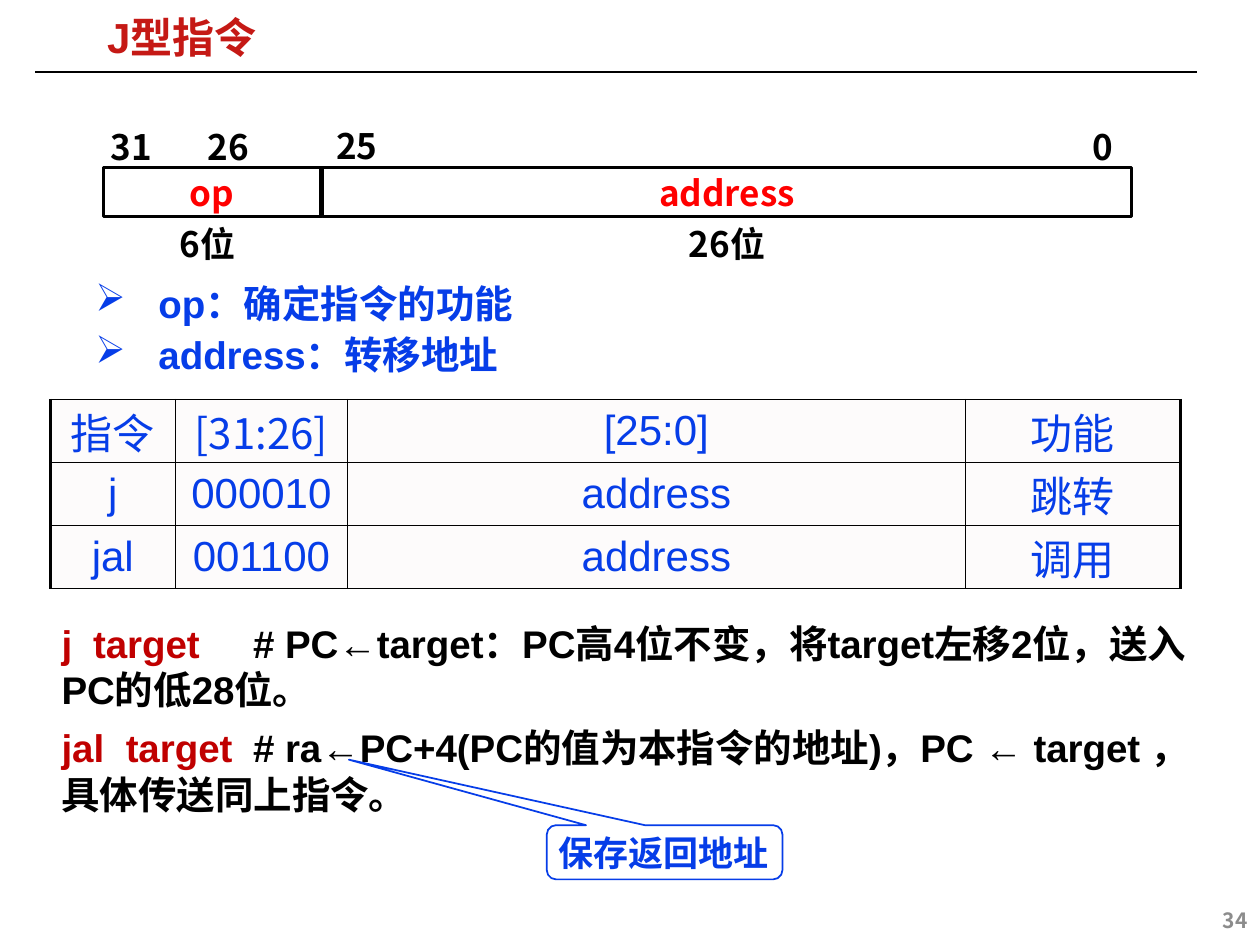
from lxml.etree import SubElement
from pptx import Presentation
from pptx.dml.color import RGBColor
from pptx.enum.shapes import MSO_CONNECTOR, MSO_SHAPE
from pptx.enum.text import MSO_ANCHOR, PP_ALIGN
from pptx.oxml.ns import qn
from pptx.util import Inches, Pt

COLORS = {"title": "C51915", "blue": "063DE8", "field": "FF0000", "code": "C00000",
          "black": "000000", "white": "FFFFFF", "cell": "FDFBFB", "number": "8C8C8C"}
LATIN, CHINESE = "Arial", "Noto Sans CJK SC"
WIDTH, HEIGHT = Inches(10), Inches(7.5)


def color(name):
    return RGBColor.from_string(COLORS[name])


def area(left, top, width, height):
    """Turn percentages of the slide into lengths."""
    return (int(WIDTH * left / 100), int(HEIGHT * top / 100),
            int(WIDTH * width / 100), int(HEIGHT * height / 100))


def add_span(para, text, size, hue, font=LATIN, bold=True, asian=None):
    span = para.add_run()
    span.text = text
    span.font.size, span.font.bold, span.font.name = Pt(size), bold, font
    span.font.color.rgb = color(hue)
    SubElement(span._r.get_or_add_rPr(), qn("a:ea"), typeface=asian or font)


def set_frame(frame, anchor=MSO_ANCHOR.TOP, side=0.1, edge=0.05, wrap=True):
    frame.word_wrap, frame.vertical_anchor = wrap, anchor
    frame.margin_left = frame.margin_right = Inches(side)
    frame.margin_top = frame.margin_bottom = Inches(edge)
    return frame.paragraphs[0]


def add_text(page, place, spans, align=PP_ALIGN.LEFT, tabs=(), bullet=None, **frame):
    box = page.shapes.add_textbox(*area(*place))
    para = set_frame(box.text_frame, **frame)
    para.alignment = align
    properties = para._p.get_or_add_pPr()
    if bullet:
        properties.set("marL", str(Inches(0.5)))
        properties.set("indent", str(-Inches(0.5)))
        SubElement(properties, qn("a:buChar"), char=bullet)
    if tabs:
        stops = SubElement(properties, qn("a:tabLst"))
        for stop in tabs:
            SubElement(stops, qn("a:tab"), pos=str(Inches(stop)), algn="l")
    for span in spans:
        add_span(para, *span)
    return para


def add_title(page, text):
    rule = page.shapes.add_connector(MSO_CONNECTOR.STRAIGHT, Inches(0.28), Inches(0.57),
                                     Inches(9.5), Inches(0.57))
    rule.line.color.rgb, rule.line.width = color("black"), Pt(1)
    SubElement(rule._element.spPr, qn("a:effectLst"))
    para = add_text(page, (7.8, 1.6, 86, 5.47), [(text, 24, "title")], side=0.07, edge=0.03)
    para.line_spacing = 0.87


def add_shape(page, kind, place, line_hue, line_width, fill=None):
    shape = page.shapes.add_shape(kind, *area(*place))
    shape.shadow.inherit = False
    if fill:
        shape.fill.solid()
        shape.fill.fore_color.rgb = color(fill)
    else:
        shape.fill.background()
    shape.line.color.rgb, shape.line.width = color(line_hue), Pt(line_width)
    return shape


def add_field(page, left, width, name, bits, label_left):
    """Draw one field of the instruction word, with its bit count below."""
    field = add_shape(page, MSO_SHAPE.RECTANGLE, (left, 17.73, width, 5.2), "black", 2, "white")
    para = set_frame(field.text_frame, MSO_ANCHOR.MIDDLE)
    para.alignment = PP_ALIGN.CENTER
    add_span(para, name, 20, "field", CHINESE)
    add_label(page, (label_left, 23.2, width, 5.2), bits, PP_ALIGN.CENTER)


def add_label(page, place, text, align=PP_ALIGN.LEFT, tabs=()):
    add_text(page, place, [(text, 20, "black", CHINESE)], align, tabs,
             anchor=MSO_ANCHOR.MIDDLE)


def set_border(cell, side, width):
    line = SubElement(cell._tc.get_or_add_tcPr(), qn("a:" + side), w=str(Pt(width)))
    fill = SubElement(line, qn("a:solidFill"))
    SubElement(fill, qn("a:srgbClr"), val=COLORS["black"])


def add_grid(page, place, widths, rows):
    table = page.shapes.add_table(len(rows), len(widths), *area(*place)).table
    table.first_row = table.horz_banding = False
    for column, width in zip(table.columns, widths):
        column.width = Inches(width)
    last = len(widths) - 1
    for r, row in enumerate(rows):
        for c, text in enumerate(row):
            cell = table.cell(r, c)
            cell.vertical_anchor = MSO_ANCHOR.MIDDLE
            cell.margin_top = cell.margin_bottom = 0
            # Borders come before the fill in the cell's properties
            set_border(cell, "lnL", 1.5 if c == 0 else 0.75)
            set_border(cell, "lnR", 1.5 if c == last else 0.75)
            set_border(cell, "lnT", 0.75)
            set_border(cell, "lnB", 0.75)
            cell.fill.solid()
            cell.fill.fore_color.rgb = color("cell")
            para = cell.text_frame.paragraphs[0]
            para.alignment = PP_ALIGN.CENTER
            font = CHINESE if text == "[31:26]" else LATIN
            add_span(para, text, 24, "blue", font, False, CHINESE)


def add_callout(page, place, text, adjustments):
    callout = add_shape(page, MSO_SHAPE.ROUNDED_RECTANGULAR_CALLOUT, place, "blue", 1)
    for index, value in enumerate(adjustments):
        callout.adjustments[index] = value
    para = set_frame(callout.text_frame, MSO_ANCHOR.MIDDLE, 0.07, 0.03, False)
    para.alignment = PP_ALIGN.LEFT
    add_span(para, text, 20, "blue")


def main():
    deck = Presentation()
    deck.slide_width, deck.slide_height = WIDTH, HEIGHT
    page = deck.slides.add_slide(deck.slide_layouts[6])
    add_title(page, "J型指令")

    # Meaning of the fields
    for top, text in ((28.93, "op：确定指令的功能"), (34.4, "address：转移地址")):
        add_text(page, (6.6, top, 36.4, 6.4), [(text, 22, "blue")], bullet="➢")

    # Instruction word with bit numbers
    add_field(page, 8.2, 17.3, "op", "6位", 7.8)
    add_field(page, 25.6, 64.2, "address", "26位", 25.6)
    add_label(page, (7.8, 12.93, 18, 5.2), "31\t26", tabs=[0.77])
    add_label(page, (25.7, 12.8, 12.2, 5.2), "25")
    add_label(page, (74, 12.93, 15.3, 5.2), "0", PP_ALIGN.RIGHT)

    # Instruction table
    add_grid(page, (4, 42.27, 89.8, 20), (0.99, 1.37, 4.9, 1.71),
             [("指令", "[31:26]", "[25:0]", "功能"),
              ("j", "000010", "address", "跳转"),
              ("jal", "001100", "address", "调用")])

    # Explanations, with the comments lined up at one tab stop
    notes = [
        (64.93, 94.9, 0.25, "j\ttarget\t",
         "# PC←target：PC高4位不变，将target左移2位，送入PC的低28位。"),
        (76, 93, 0.51, "jal\ttarget\t",
         "# ra←PC+4(PC的值为本指令的地址)，PC ← target ，具体传送同上指令。"),
    ]
    for top, width, stop, code, comment in notes:
        add_text(page, (3.9, top, width, 11.2),
                 [(code, 22, "code"), (comment, 22, "black")], tabs=[stop, 1.52])

    # Page number and callout
    add_text(page, (77.5, 94.67, 22.5, 5.33), [("34", 12, "number", CHINESE)],
             PP_ALIGN.RIGHT, anchor=MSO_ANCHOR.MIDDLE)
    add_callout(page, (43.4, 87.33, 18.7, 5.73), "保存返回地址", (-1.34, -1.71, 0.17))

    deck.save("out.pptx")


if __name__ == "__main__":
    main()
